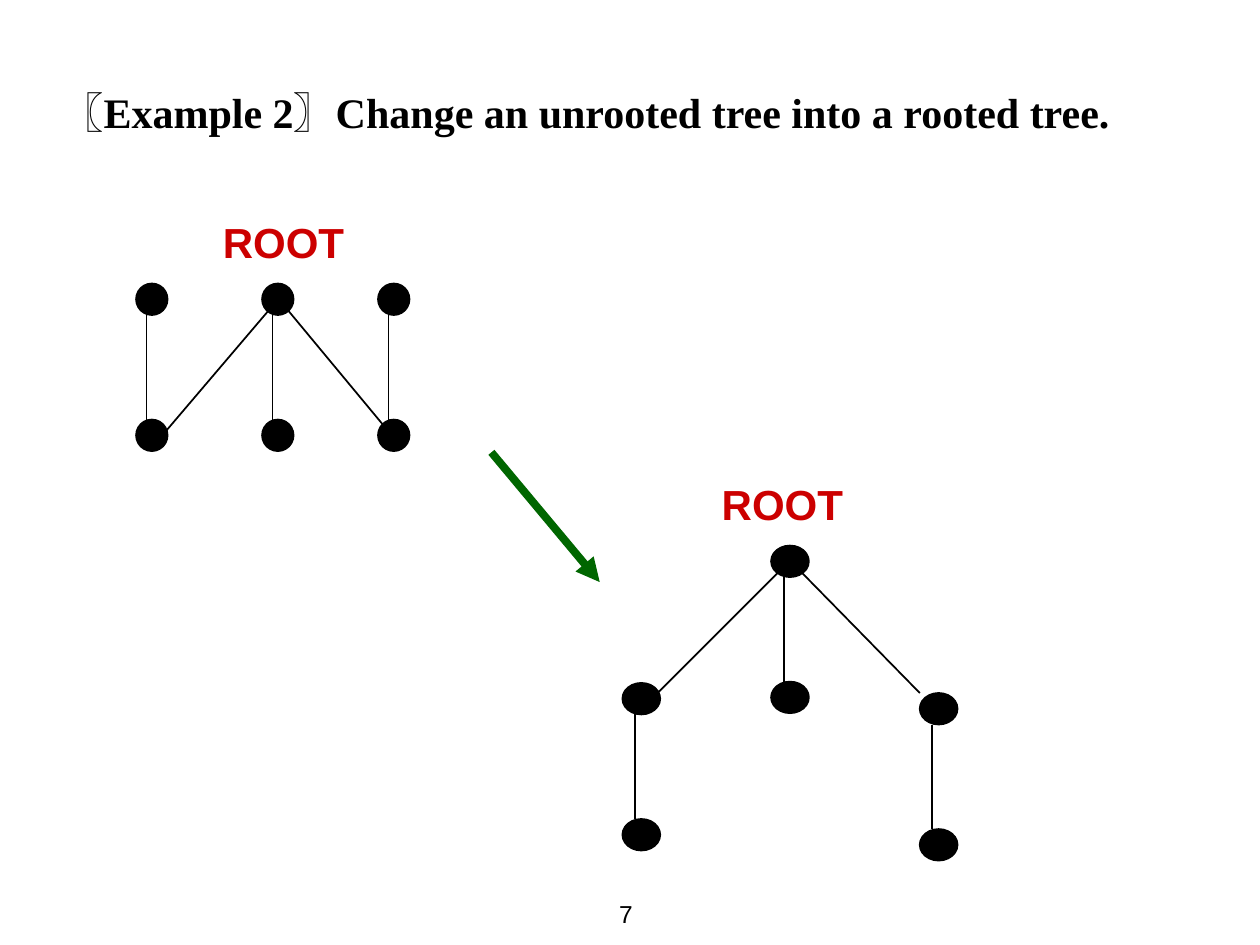
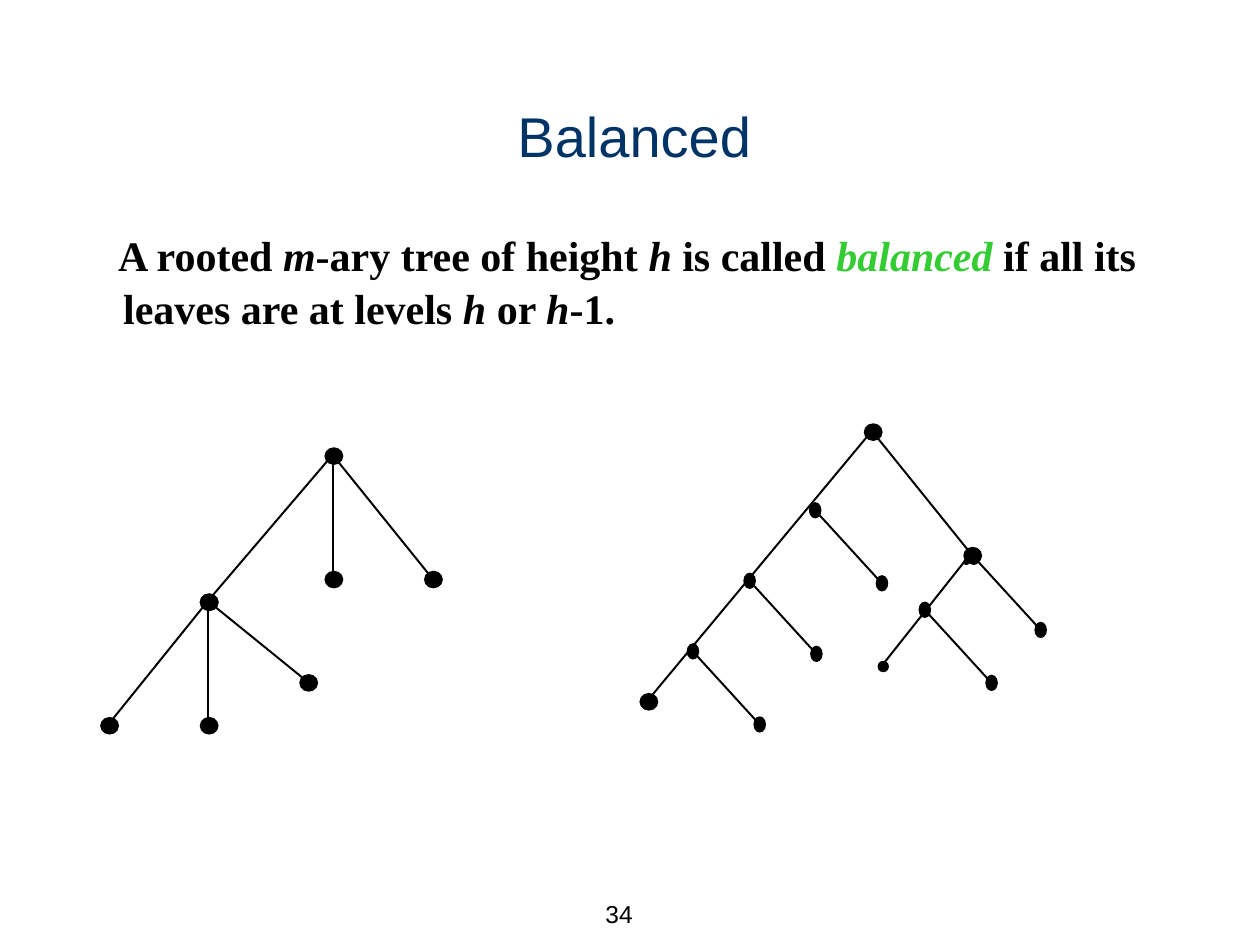
from lxml import etree
from pptx import Presentation
from pptx.dml.color import RGBColor
from pptx.enum.shapes import MSO_CONNECTOR, MSO_SHAPE
from pptx.enum.text import MSO_ANCHOR, PP_ALIGN
from pptx.oxml.ns import qn
from pptx.util import Inches, Pt

STRAIGHT = MSO_CONNECTOR.STRAIGHT
OVAL = MSO_SHAPE.OVAL
TOP, MIDDLE, BOTTOM = MSO_ANCHOR.TOP, MSO_ANCHOR.MIDDLE, MSO_ANCHOR.BOTTOM
LEFT, CENTER, RIGHT = PP_ALIGN.LEFT, PP_ALIGN.CENTER, PP_ALIGN.RIGHT

BLACK, RED, GREEN = "000000", "CC0000", "006600"
NAVY, LIME = "003366", "33CC33"
SANS, SERIF = "Arial", "Times New Roman"


def rgb(value):
    return RGBColor.from_string(value)


def add_run(p, text, size=24, font=SANS, color=BLACK, bold=False, italic=False):
    r = p.add_run()
    r.text = text
    r.font.size = Pt(size)
    r.font.name = font
    r.font.color.rgb = rgb(color)
    r.font.bold = bold
    r.font.italic = italic


class Deck:
    """Shared style and the slide being built."""

    def __init__(self):
        self.prs = Presentation()
        self.prs.slide_width = Inches(10)
        self.prs.slide_height = Inches(7.5)
        self.s = None

    def new_slide(self, number):
        self.s = self.prs.slides.add_slide(self.prs.slide_layouts[6])
        self.text(str(number), 4.45, 7, 0.67, 0.5, align=RIGHT, anchor=MIDDLE,
                  size=14)

    def text(self, content, x, y, w, h, align=LEFT, anchor=TOP, **style):
        """Add a text box; content is a string or a list of (text, style)."""
        sp = self.s.shapes.add_textbox(Inches(x), Inches(y), Inches(w), Inches(h))
        tf = sp.text_frame
        tf.word_wrap = True
        tf.vertical_anchor = anchor
        p = tf.paragraphs[0]
        p.alignment = align
        parts = [(content, {})] if isinstance(content, str) else content
        for part, extra in parts:
            add_run(p, part, **{**style, **extra})
        return p

    def root_label(self, x, y):
        self.text("ROOT", x, y, 1.37, 0.5, color=RED, bold=True)

    def node(self, x, y, w, h, outline=None):
        sp = self.s.shapes.add_shape(OVAL, Inches(x), Inches(y), Inches(w), Inches(h))
        sp.shadow.inherit = False
        sp.fill.solid()
        sp.fill.fore_color.rgb = rgb(BLACK)
        if outline:
            sp.line.color.rgb = rgb(BLACK)
            sp.line.width = Pt(outline)
        else:
            sp.line.fill.background()

    def edge(self, start, end, width=1, color=BLACK, arrow=False):
        c = self.s.shapes.add_connector(
            STRAIGHT, *(Inches(v) for v in (*start, *end)))
        c.line.color.rgb = rgb(color)
        c.line.width = Pt(width)
        if arrow:
            etree.SubElement(c.line._get_or_add_ln(), qn("a:tailEnd"), type="triangle")
        etree.SubElement(c._element.spPr, qn("a:effectLst"))

    def column(self, x, y, w, joined=True):
        """Two large nodes, one above the other."""
        step, size = 1.08, 0.25
        if joined:
            self.edge((x + w / 3, y + size), (x + w / 3, y + step))
        for top in (y, y + step):
            self.node(x, top, w, size, outline=1)

    def branch(self, start, *ends, w=0.15, h=0.14):
        """Edges from one point to several, with a node at every point."""
        for end in ends:
            self.edge(start, end, width=1.13)
        for x, y in (start, *ends):
            self.node(x - w / 2 + 0.01, y - h / 2 + 0.01, w, h)


def rooting_slide(deck):
    deck.new_slide(7)
    deck.text("〖Example 2〗Change an unrooted tree into a rooted tree.",
              0.39, 0.62, 9, 0.54, anchor=MIDDLE, font=SERIF, bold=True)

    # Unrooted tree
    for x in (1.08, 2.08, 3):
        deck.column(x, 2.25, 0.25)
    deck.edge((2.25, 2.42), (3.08, 3.42))
    deck.edge((2.17, 2.42), (1.25, 3.5))
    deck.root_label(1.67, 1.67)

    # Rooted tree
    for x, y in ((4.94, 5.42), (6.12, 4.33), (7.3, 5.5)):
        deck.column(x, y, 0.3)
    deck.edge((6.32, 4.5), (7.3, 5.5))
    deck.edge((6.22, 4.5), (5.14, 5.58))
    deck.root_label(5.63, 3.75)

    # Arrow between the trees
    deck.edge((3.9, 3.59), (4.76, 4.62), width=4.5, color=GREEN, arrow=True)


def balanced_slide(deck):
    deck.new_slide(34)
    deck.text("Balanced", 0.42, 0.72, 9.23, 0.67, align=CENTER, anchor=BOTTOM,
              size=32, color=NAVY)

    # Definition
    italic = {"italic": True}
    p = deck.text([
        ("A rooted ", {}), ("m", italic), ("-ary tree of height ", {}),
        ("h", italic), (" is called ", {}),
        ("balanced", {"italic": True, "color": LIME}),
        (" if all its leaves are at levels ", {}), ("h", italic),
        (" or ", {}), ("h", italic), ("-1.", {}),
    ], 0.5, 1.75, 9, 1.13, font=SERIF, bold=True)
    p.line_spacing = 1.05
    pPr = p._p.get_or_add_pPr()
    pPr.set("marL", str(Inches(0.38)))
    pPr.set("indent", str(Inches(-0.04)))

    # Ternary tree
    deck.branch((2.64, 3.61), (1.65, 4.77), (2.64, 4.59), (3.43, 4.59))
    deck.branch((1.65, 4.77), (0.86, 5.75), (1.65, 5.75), (2.44, 5.41))

    # Binary tree: main branches, then equal twigs
    deck.branch((6.92, 3.42), (5.14, 5.56), (7.71, 4.4))
    deck.branch((7.66, 4.45), (7.01, 5.27), w=0.05, h=0.05)
    for x, y in ((6.46, 4.04), (5.94, 4.6), (5.49, 5.16), (7.72, 4.41), (7.33, 4.83)):
        deck.branch((x, y), (x + 0.53, y + 0.58), w=0.1, h=0.13)
    deck.node(6.97, 5.25, 0.08, 0.08, outline=0.75)


def main():
    deck = Deck()
    rooting_slide(deck)
    balanced_slide(deck)
    deck.prs.save("out.pptx")


if __name__ == "__main__":
    main()
